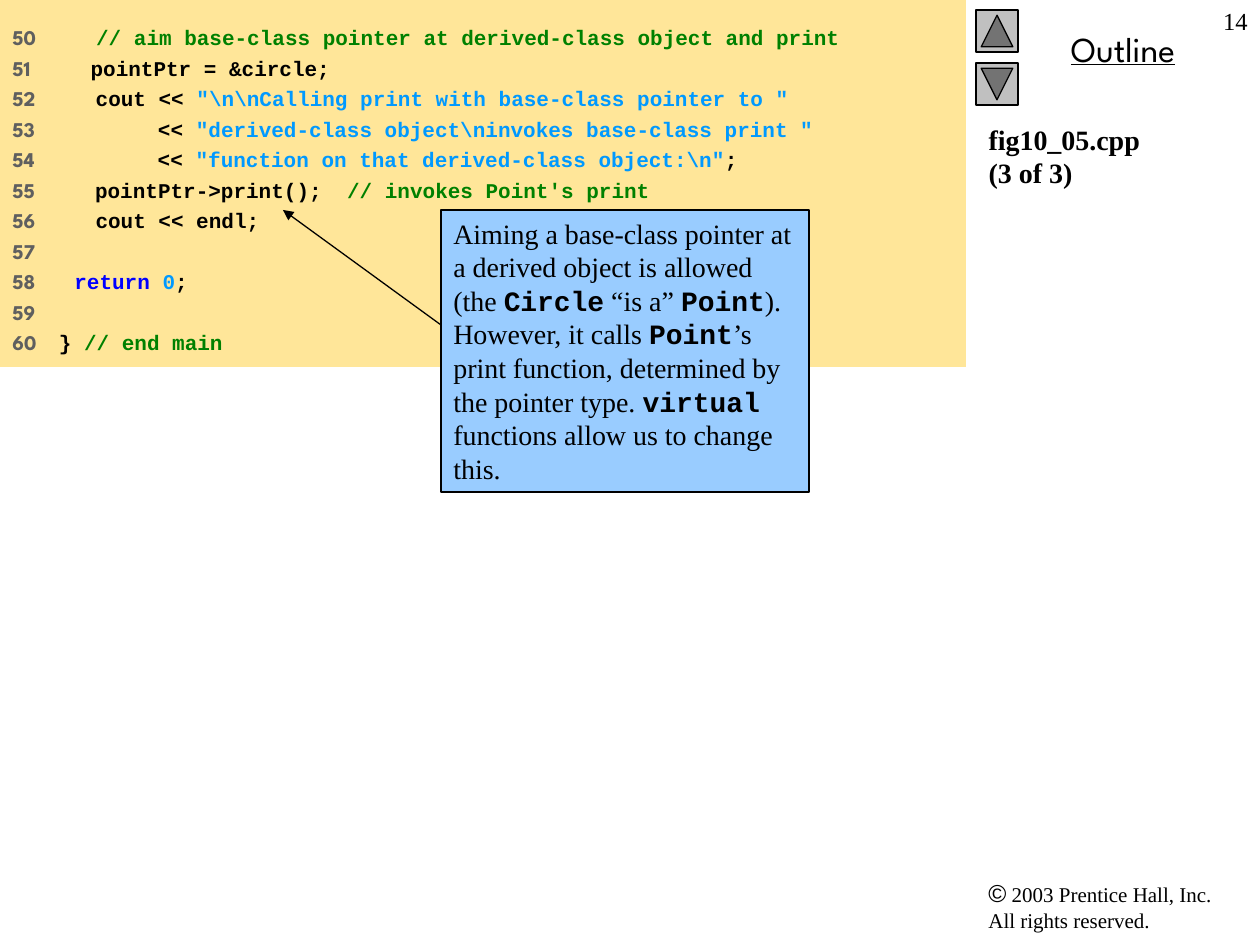
import pptx
import pptx.util
import pptx.dml.color
import pptx.enum.shapes
import pptx.enum.text
import pptx.oxml
import pptx.oxml.ns
from lxml import etree

RGBColor = pptx.dml.color.RGBColor
MSO_SHAPE = pptx.enum.shapes.MSO_SHAPE
PP_ALIGN = pptx.enum.text.PP_ALIGN

BLACK = RGBColor(0x00, 0x00, 0x00)
GRAY = RGBColor(0x5F, 0x5F, 0x5F)
SILVER = RGBColor(0xC0, 0xC0, 0xC0)
GREEN = RGBColor(0x00, 0x80, 0x00)
BLUE = RGBColor(0x00, 0x00, 0xFF)
SKY = RGBColor(0x00, 0x99, 0xFF)
CREAM = RGBColor(0xFF, 0xE6, 0x99)
PALE_BLUE = RGBColor(0x99, 0xCC, 0xFF)

SERIF = "Times New Roman"
SANS = "Arial"
MONO = "Courier New"
DISPLAY = "League Spartan"

CODE = [
    ("50    ", [("   // aim base-class pointer at derived-class object and print", GREEN)]),
    ("51    ", [("   pointPtr = &circle;", BLACK)]),
    ("52    ", [("   cout << ", BLACK),
                (r'"\n\nCalling print with base-class pointer to "', SKY)]),
    ("53    ", [("        << ", BLACK),
                (r'"derived-class object\ninvokes base-class print "', SKY)]),
    ("54    ", [("        << ", BLACK),
                (r'"function on that derived-class object:\n"', SKY), (";", BLACK)]),
    ("55    ", [("   pointPtr->print();", BLACK), ("  // invokes Point's print", GREEN)]),
    ("56    ", [("   cout << endl;", BLACK)]),
    ("57", []),
    ("58       ", [("return ", BLUE), ("0", SKY), (";", BLACK)]),
    ("59", []),
    ("60    ", [("} ", BLACK), ("// end main", GREEN)]),
]

CALLOUT = [
    ("Aiming a base-class pointer at a derived object is allowed (the ", False),
    ("Circle", True), (" “is a” ", False), ("Point", True),
    ("). However, it calls ", False), ("Point", True),
    ("’s print function, determined by the pointer type. ", False),
    ("virtual", True), (" functions allow us to change this.", False),
]


def px(n):
    return pptx.util.Emu(round(n * 914400 / 126))


def add_text(p, text, font=SERIF, size=12, color=BLACK, bold=False, underline=False):
    for i, line in enumerate(text.split("\n")):
        if i:
            p.add_line_break()
        r = p.add_run()
        r.text = line
        r.font.name = font
        r.font.size = pptx.util.Pt(size)
        r.font.color.rgb = color
        r.font.bold = bold
        r.font.underline = underline


def add_box(s, x, y, w, h, align=PP_ALIGN.LEFT):
    sp = s.shapes.add_textbox(px(x), px(y), px(w), px(h))
    sp.text_frame.word_wrap = True
    p = sp.text_frame.paragraphs[0]
    p.alignment = align
    return p


def add_panel(s, x, y, w, h, fill, line=None, kind=MSO_SHAPE.RECTANGLE):
    sp = s.shapes.add_shape(kind, px(x), px(y), px(w), px(h))
    sp.shadow.inherit = False
    sp.fill.solid()
    sp.fill.fore_color.rgb = fill
    if line is None:
        sp.line.fill.background()
    else:
        sp.line.color.rgb = line
        sp.line.width = pptx.util.Pt(0.75)
    tf = sp.text_frame
    tf.word_wrap = True
    tf.vertical_anchor = pptx.enum.text.MSO_ANCHOR.TOP
    tf.paragraphs[0].alignment = PP_ALIGN.LEFT
    return sp


def add_code(s, x, y, w, h):
    tf = add_panel(s, x, y, w, h, CREAM).text_frame
    tf.margin_top = tf.margin_bottom = px(25)
    for i, (number, parts) in enumerate(CODE):
        p = tf.add_paragraph() if i else tf.paragraphs[0]
        p.alignment = PP_ALIGN.LEFT
        if i:
            p.space_before = pptx.util.Pt(3)
        add_text(p, number, font=DISPLAY, color=GRAY, bold=True)
        for text, color in parts:
            add_text(p, text, font=MONO, color=color, bold=True)


def add_callout(s, x, y, w, h):
    sp = add_panel(s, x, y, w, h, PALE_BLUE, BLACK)
    p = sp.text_frame.paragraphs[0]
    for text, is_code in CALLOUT:
        add_text(p, text, font=MONO if is_code else SERIF, size=16, bold=is_code)
    cxn = s.shapes.add_connector(pptx.enum.shapes.MSO_CONNECTOR.STRAIGHT,
                                 px(x), px(y + 115), px(x - 158), px(y))
    cxn.line.color.rgb = BLACK
    cxn.line.width = pptx.util.Pt(0.75)
    qn = pptx.oxml.ns.qn
    etree.SubElement(cxn.line._get_or_add_ln(), qn("a:tailEnd"), type="triangle")
    etree.SubElement(cxn._element.spPr, qn("a:effectLst"))


def add_sidebar(s, x, y, w, h):
    for i, rotation in enumerate((90, 270)):
        sp = add_panel(s, x, y + 10 + 53 * i, 42, 42, SILVER, BLACK,
                       MSO_SHAPE.ACTION_BUTTON_BACK_OR_PREVIOUS)
        sp.rotation = rotation
    add_text(add_box(s, x + 10, y + 21, w - 10, 55, PP_ALIGN.CENTER),
             "Outline", font=DISPLAY, size=20, underline=True)
    add_text(add_box(s, x + w - 63, y, 63, 63, PP_ALIGN.RIGHT), "14", size=14)

    title = s.shapes.title
    title.left, title.top, title.width, title.height = px(x), px(y + 116), px(w), px(661)
    tf = title.text_frame
    tf.word_wrap = True
    tf.auto_size = pptx.enum.text.MSO_AUTO_SIZE.NONE
    tf.vertical_anchor = pptx.enum.text.MSO_ANCHOR.TOP
    p = tf.paragraphs[0]
    p.alignment = PP_ALIGN.LEFT
    add_text(p, "fig10_05.cpp\n(3 of 3)", size=16, bold=True)

    p = add_box(s, x, y + h - 73, w - 10, 68)
    add_text(p, "©", font=SANS, size=14)
    add_text(p, " 2003 Prentice Hall, Inc.\nAll rights reserved.")


def main():
    prs = pptx.Presentation()
    prs.slide_width, prs.slide_height = px(1260), px(945)
    s = prs.slides.add_slide(prs.slide_layouts[5])
    add_sidebar(s, 976, 0, 284, 945)
    add_code(s, 0, 0, 966, 367)
    add_callout(s, 441, 210, 368, 282)
    prs.save("out.pptx")


if __name__ == "__main__":
    main()
